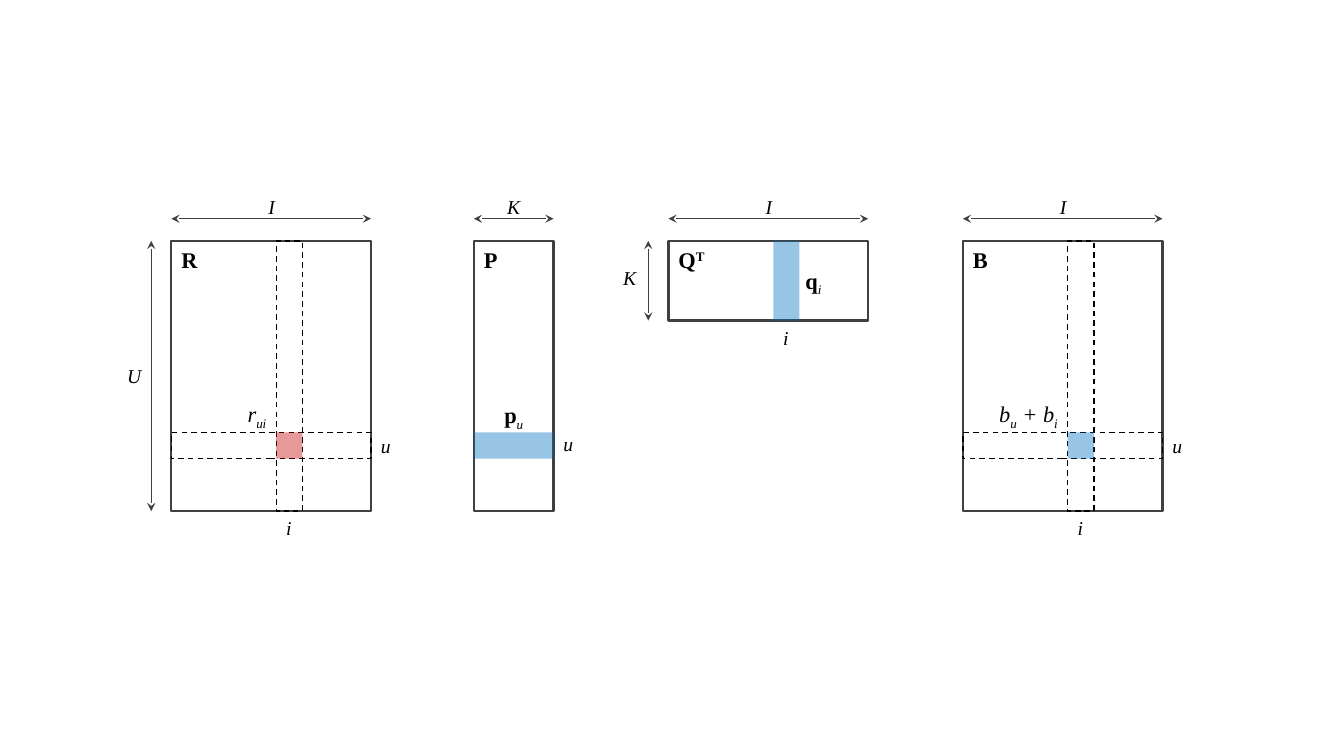
from lxml.etree import SubElement
from pptx import Presentation
from pptx.dml.color import RGBColor
from pptx.enum.dml import MSO_LINE
from pptx.enum.shapes import MSO_CONNECTOR, MSO_SHAPE
from pptx.enum.text import PP_ALIGN
from pptx.oxml.ns import qn
from pptx.util import Emu, Pt

BLACK = RGBColor(0x00, 0x00, 0x00)
GRAY = RGBColor(0x40, 0x40, 0x40)
RED = RGBColor(0xC0, 0x00, 0x00)
BLUE = RGBColor(0x00, 0x70, 0xC0)
LEFT, CENTER, RIGHT = PP_ALIGN.LEFT, PP_ALIGN.CENTER, PP_ALIGN.RIGHT

TOP, WIDTH, HEIGHT, RANK = 239, 198, 268, 79
ROW_Y, COLUMN_DX, BAND = 429, 104, 26
SUB, SUPER = -25000, 30000


class Diagram:
    """Draws matrix figures on one slide, with lengths in px of 1/100 inch."""

    def __init__(self, prs):
        self.font = "Times New Roman"
        self.s = prs.slides.add_slide(prs.slide_layouts[6])
        self.shapes = self.s.shapes

    def px(self, *lengths):
        return [Emu(n * 9144) for n in lengths]

    def group(self):
        self.shapes = self.s.shapes.add_group_shape().shapes

    def rect(self, x, y, w, h):
        sp = self.shapes.add_shape(MSO_SHAPE.RECTANGLE, *self.px(x, y, w, h))
        sp.shadow.inherit = False
        return sp

    def outline(self, x, y, w, h, color=GRAY, width=1.5, dash=None):
        sp = self.rect(x, y, w, h)
        sp.fill.background()
        sp.line.color.rgb = color
        sp.line.width = Pt(width)
        if dash:
            sp.line.dash_style = dash

    def highlight(self, x, y, w, h, color):
        sp = self.rect(x, y, w, h)
        sp.line.fill.background()
        sp.fill.solid()
        sp.fill.fore_color.rgb = color
        clr = sp._element.spPr.find(qn("a:solidFill"))[0]
        SubElement(clr, qn("a:alpha"), val="40000")

    def arrow(self, x1, y1, x2, y2):
        c = self.shapes.add_connector(MSO_CONNECTOR.STRAIGHT, *self.px(x1, y1, x2, y2))
        c.line.color.rgb = GRAY
        c.line.width = Pt(0.5)
        ln = c.line._get_or_add_ln()
        for end in ("a:headEnd", "a:tailEnd"):
            SubElement(ln, qn(end), type="stealth")
        SubElement(c._element.spPr, qn("a:effectLst"))

    def text(self, x, y, w, *parts, size=14, bold=False, align=LEFT):
        h = 34 if size == 14 else 37
        tf = self.shapes.add_textbox(*self.px(x, y, w, h)).text_frame
        tf.word_wrap = True
        p = tf.paragraphs[0]
        p.alignment = align
        p.font.name = self.font
        p.font.size = Pt(size)
        p.font.color.rgb = BLACK
        p.font.bold, p.font.italic = bold, not bold
        for text, baseline in parts:
            r = p.add_run()
            r.text = text
            if baseline:
                r._r.get_or_add_rPr().set("baseline", str(baseline))
            if bold and baseline == SUB:
                r.font.bold, r.font.italic = False, True

    def matrix(self, x, w, h, label, *name):
        self.group()
        self.outline(x, TOP, w, h)
        self.text(x, TOP, 51, *name, size=16, bold=True)
        self.arrow(x, 217, x + w, 217)
        self.text(x + w // 2 - 23, 188, 47, (label, 0), align=CENTER)

    def height_arrow(self, x, h, label, label_x, label_y, align):
        self.arrow(x - 20, TOP, x - 20, TOP + h)
        self.text(label_x, label_y, 47, (label, 0), align=align)

    def column_label(self, x, y):
        self.text(x + COLUMN_DX + BAND // 2 - 24, y, 47, ("i", 0), align=CENTER)

    def rating_matrix(self, x, name, color, entry_w, *entry):
        self.matrix(x, WIDTH, HEIGHT, "I", (name, 0))
        col = x + COLUMN_DX
        for box in ((x, ROW_Y, WIDTH, BAND), (col, TOP, BAND, HEIGHT)):
            self.outline(*box, color=BLACK, width=1, dash=MSO_LINE.DASH)
        self.text(x + WIDTH, 426, 34, ("u", 0))
        self.column_label(x, TOP + HEIGHT)
        self.highlight(col, ROW_Y, BAND, BAND, color)
        self.text(col - entry_w, 392, entry_w, *entry, size=16, align=RIGHT)


def main():
    prs = Presentation()
    prs.slide_width, prs.slide_height = Emu(1333 * 9144), Emu(750 * 9144)
    d = Diagram(prs)

    d.rating_matrix(170, "R", RED, 47, ("r", 0), ("ui", SUB))
    d.height_arrow(170, HEIGHT, "U", 103, 356, RIGHT)

    d.matrix(663, WIDTH, RANK, "I", ("Q", 0), ("T", SUPER))
    d.height_arrow(663, RANK, "K", 601, 259, CENTER)
    d.highlight(663 + COLUMN_DX, TOP, BAND, RANK, BLUE)
    d.column_label(663, TOP + RANK)
    d.text(789, 260, 51, ("q", 0), ("i", SUB), size=16, bold=True)

    d.matrix(470, RANK, HEIGHT, "K", ("P", 0))
    d.highlight(470, ROW_Y, RANK, BAND, BLUE)
    d.text(470 + RANK, 424, 35, ("u", 0))
    d.text(485, 393, 49, ("p", 0), ("u", SUB), size=16, bold=True, align=CENTER)

    d.rating_matrix(955, "B", BLUE, 98, ("b", 0), ("u", SUB), (" + b", 0), ("i", SUB))

    prs.save("out.pptx")


if __name__ == "__main__":
    main()
